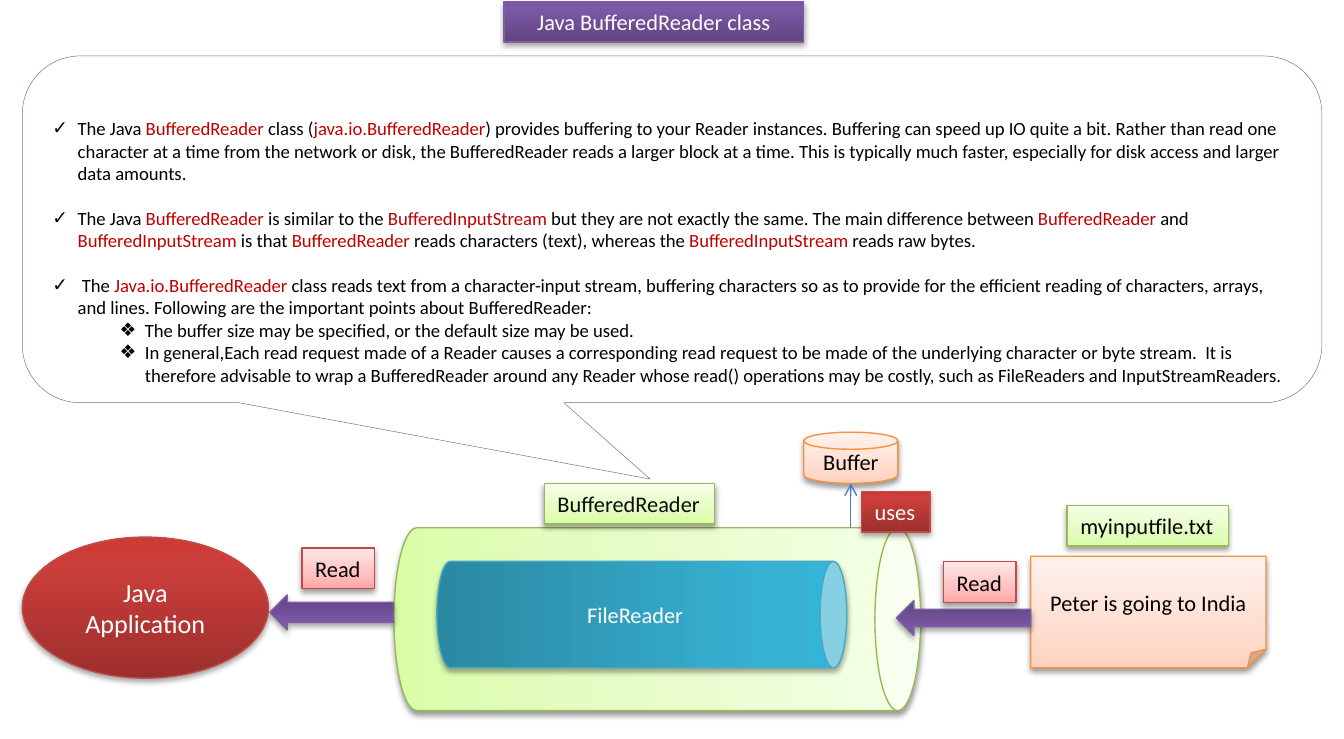
import pptx
import pptx.util
import pptx.dml.color
import pptx.enum.shapes
import pptx.enum.text
import pptx.oxml
import pptx.oxml.ns
import lxml.etree

Pt = pptx.util.Pt
qn = pptx.oxml.ns.qn
SHAPE = pptx.enum.shapes.MSO_SHAPE
ALIGN = pptx.enum.text.PP_ALIGN
ANCHOR = pptx.enum.text.MSO_ANCHOR
FONT = "Calibri"
LABEL_H = 21.8

COLORS = {
    "white": "FFFFFF", "black": "000000", "label": "0D0D0D",
    "keyword": "C00000", "callout": "8064A2", "connector": "4B7EBC",
}
# Each style: gradient stops from bottom to top, line colour, shadow opacity
LIGHT, DARK = (0, 35, 100), (0, 80, 100)
STYLES = {
    "purple": (DARK, ("5F4480", "7B58A6", "7C57A8"), "7D60A0", 35),
    "red": (DARK, ("9C2F2D", "CB3E3A", "CE3B37"), "BF4C48", 35),
    "teal": (DARK, ("2A88A2", "37B1D2", "34B4D6"), "46AAC5", 35),
    "orange": (LIGHT, ("FFD2BD", "FFDED0", "FFF2ED"), "F69240", 38),
    "green": (LIGHT, ("DAFDA7", "E4FCC2", "F5FFE7"), "98B955", 38),
    "pink": (LIGHT, ("FFA6A5", "FFC0BF", "FFE7E7"), "BF4C48", 38),
}

# Keywords stand between bars; the number is the indent level
POINTS = [
    (0, "The Java |BufferedReader| class (|java.io.BufferedReader|) provides buffering to your "
        "Reader instances. Buffering can speed up IO quite a bit. Rather than read one character "
        "at a time from the network or disk, the BufferedReader reads a larger block at a time. "
        "This is typically much faster, especially for disk access and larger data amounts."),
    (0, "The Java |BufferedReader| is similar to the |BufferedInputStream| but they are not "
        "exactly the same. The main difference between |BufferedReader| and "
        "|BufferedInputStream| is that |BufferedReader| reads characters (text), whereas the "
        "|BufferedInputStream| reads raw bytes."),
    (0, " The |Java.io.BufferedReader| class reads text from a character-input stream, buffering "
        "characters so as to provide for the efficient reading of characters, arrays, and lines. "
        "Following are the important points about BufferedReader:"),
    (1, "The buffer size may be specified, or the default size may be used."),
    (1, "In general,Each read request made of a Reader causes a corresponding read request to be "
        "made of the underlying character or byte stream.  It is therefore advisable to wrap a "
        "BufferedReader around any Reader whose read() operations may be costly, such as "
        "FileReaders and InputStreamReaders."),
]
BULLETS = ("✓", "❖")


def rgb(value):
    return pptx.dml.color.RGBColor.from_string(COLORS.get(value, value))


def add_run(paragraph, text, size, color):
    run = paragraph.add_run()
    run.text = text
    for name, value in {"name": FONT, "size": Pt(size)}.items():
        setattr(run.font, name, value)
    run.font.color.rgb = rgb(color)


def style_part(part, style):
    """Gradient fill, thin line and soft shadow below."""
    positions, stops, line, opacity = STYLES[style]
    part.fill.gradient()
    part.fill.gradient_angle = 90
    stop_list = part._element.spPr.find(qn("a:gradFill")).find(qn("a:gsLst"))
    for old in list(stop_list):
        stop_list.remove(old)
    for position, stop in zip(positions, stops):
        gs = lxml.etree.SubElement(stop_list, qn("a:gs"), pos=str(position * 1000))
        lxml.etree.SubElement(gs, qn("a:srgbClr"), val=stop)
    part.line.color.rgb = rgb(line)
    part.line.width = Pt(0.75)
    part.shadow.inherit = False
    effects = part._element.spPr.find(qn("a:effectLst"))
    shadow = lxml.etree.SubElement(
        effects, qn("a:outerShdw"), blurRad=str(Pt(3.1)), dist=str(Pt(1.8)),
        dir="5400000", rotWithShape="0")
    tint = lxml.etree.SubElement(shadow, qn("a:srgbClr"), val=COLORS["black"])
    lxml.etree.SubElement(tint, qn("a:alpha"), val=str(opacity * 1000))


def add_part(slide, kind, box, style, text="", size=12, color="black", wrap=True):
    part = slide.shapes.add_shape(kind, *map(Pt, box))
    style_part(part, style)
    frame = part.text_frame
    frame.word_wrap = wrap
    frame.vertical_anchor = ANCHOR.MIDDLE
    if text:
        frame.paragraphs[0].alignment = ALIGN.CENTER if wrap else ALIGN.LEFT
        add_run(frame.paragraphs[0], text, size, color)
    return part


def add_label(slide, x, y, w, style, text, color="black"):
    add_part(slide, SHAPE.RECTANGLE, (x, y, w, LABEL_H), style, text, color=color, wrap=False)


def add_lying_can(slide, box, style, text=""):
    """A can turned on its side that fills the given box."""
    x, y, w, h = box
    upright = (x + (w - h) / 2, y + (h - w) / 2, h, w)
    can = add_part(slide, SHAPE.CAN, upright, style, text, color="white")
    can.rotation = 90
    can.text_frame._txBody.bodyPr.set("vert", "vert270")


def add_read_arrow(slide, x, y, w, shaft=0.5):
    arrow = add_part(slide, SHAPE.RIGHT_ARROW, (x, y, w, 18.7), "purple")
    arrow.rotation = 180
    arrow.adjustments[0] = shaft


def add_title(slide, box):
    add_part(slide, SHAPE.RECTANGLE, box, "purple", "Java BufferedReader class", color="white")


def add_explanation(slide, box):
    callout = slide.shapes.add_shape(SHAPE.ROUNDED_RECTANGULAR_CALLOUT, *map(Pt, box))
    for index, value in enumerate((-0.017, 0.72, 0.167)):
        callout.adjustments[index] = value
    callout.fill.solid()
    callout.fill.fore_color.rgb = rgb("white")
    callout.line.color.rgb = rgb("callout")
    callout.line.width = Pt(0.25)
    callout.shadow.inherit = False
    frame = callout.text_frame
    layout = {"word_wrap": True, "vertical_anchor": ANCHOR.TOP, "margin_top": Pt(23.6)}
    for name, value in layout.items():
        setattr(frame, name, value)
    for index, (level, text) in enumerate(POINTS):
        point = frame.add_paragraph() if index else frame.paragraphs[0]
        point.alignment = ALIGN.LEFT
        point.level = level
        point.space_before = Pt(12 if index and level == 0 else 0)
        properties = point._p.get_or_add_pPr()
        properties.set("marL", str(Pt(13.5 + 36 * level)))
        properties.set("indent", str(-Pt(13.5)))
        lxml.etree.SubElement(properties, qn("a:buFont"), typeface=FONT)
        lxml.etree.SubElement(properties, qn("a:buChar"), char=BULLETS[level])
        for order, piece in enumerate(text.split("|")):
            add_run(point, piece, 10, "keyword" if order % 2 else "black")


def add_reader(slide, box):
    """BufferedReader holding a FileReader, with its buffer above."""
    x, y, w, h = box
    add_lying_can(slide, box, "green")
    add_lying_can(slide, (x + 23, y + 18, 219.6, 57), "teal", "FileReader")
    add_label(slide, x + 80.6, y - 23.8, 91.4, "green", "BufferedReader", "label")
    add_part(slide, SHAPE.FLOWCHART_MAGNETIC_DISK, (x + 219.6, y - 51.2, 50.4, 27.4),
             "orange", "Buffer")
    link_x = Pt(x + 244.8)
    link = slide.shapes.add_connector(
        pptx.enum.shapes.MSO_CONNECTOR.STRAIGHT, link_x, Pt(y), link_x, Pt(y - 23.8))
    link.line.color.rgb = rgb("connector")
    link.line.width = Pt(0.75)
    lxml.etree.SubElement(link.line._get_or_add_ln(), qn("a:tailEnd"), type="arrow")
    lxml.etree.SubElement(link._element.spPr, qn("a:effectLst"))
    add_label(slide, x + 250.5, y - 19.5, 36.7, "red", "uses", "white")


def add_application(slide, box):
    """Application and the arrow that reaches it."""
    x, y, w, h = box
    add_part(slide, SHAPE.OVAL, box, "red", "Java Application", 14, "white")
    add_read_arrow(slide, x + w + 0.7, y + 31, 66.2, 0.58)
    add_label(slide, x + w + 18, y + 5.8, 38.9, "pink", "Read")


def add_input_file(slide, box):
    """File, its name and the arrow that leaves it."""
    x, y, w, h = box
    add_part(slide, SHAPE.FOLDED_CORNER, box, "orange", "Peter is going to India")
    add_label(slide, x + 19.5, y - 27.2, 86.4, "green", "myinputfile.txt")
    add_read_arrow(slide, x - 72, y + 23.7, 72)
    add_label(slide, x - 46.8, y + 2.9, 38.9, "pink", "Read")


def main():
    deck = pptx.Presentation()
    deck.slide_width, deck.slide_height = Pt(720), Pt(396)
    slide = deck.slides.add_slide(deck.slide_layouts[6])
    add_title(slide, (270, 0.7, 160.6, LABEL_H))
    add_explanation(slide, (12, 30, 696.2, 185.8))
    add_reader(slide, (211, 282.8, 282.2, 98))
    add_application(slide, (12, 287.8, 131.8, 75.6))
    add_input_file(slide, (552.2, 298.1, 126, 59.8))
    deck.save("out.pptx")


if __name__ == "__main__":
    main()
